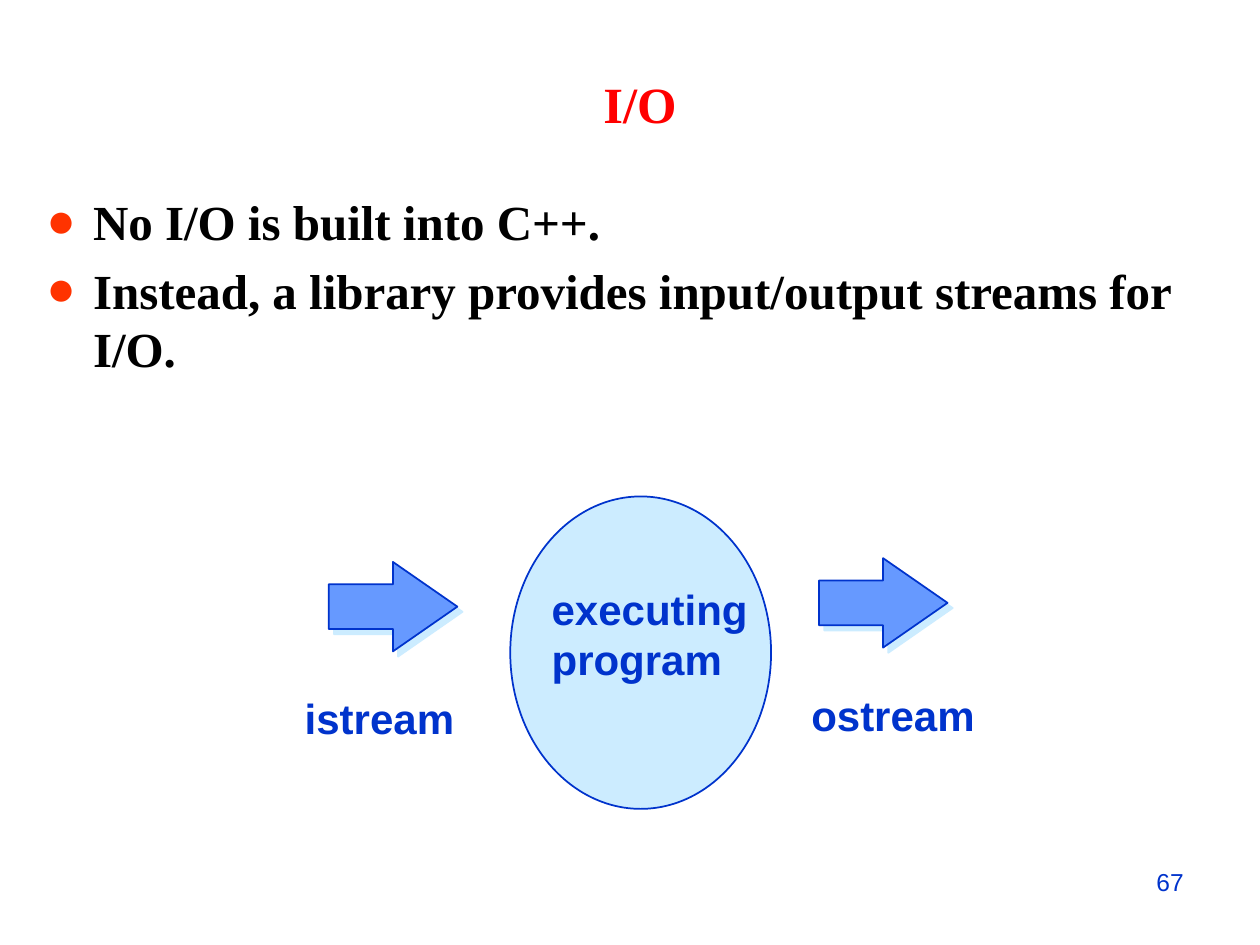
from lxml.etree import SubElement
from pptx import Presentation
from pptx.dml.color import RGBColor
from pptx.enum.shapes import MSO_SHAPE
from pptx.enum.text import MSO_ANCHOR, PP_ALIGN
from pptx.oxml.ns import qn
from pptx.util import Inches, Pt

RED = RGBColor(0xFF, 0x00, 0x00)
BLACK = RGBColor(0x00, 0x00, 0x00)
BLUE = RGBColor(0x00, 0x33, 0xCC)
ARROW_BLUE = RGBColor(0x66, 0x99, 0xFF)
PALE_BLUE = RGBColor(0xCC, 0xEC, 0xFF)
BULLET_COLOR = "FF3300"


def write(frame, text, font, size, color, bold=True):
    """Fill a text frame, one paragraph a line, and format its runs."""
    frame.text = text
    for para in frame.paragraphs:
        for span in para.runs:
            span.font.name = font
            span.font.size = Pt(size)
            span.font.bold = bold
            span.font.color.rgb = color


def add_outlined_shape(kind, left, top, width, height, fill):
    shape = slide.shapes.add_shape(
        kind, Inches(left), Inches(top), Inches(width), Inches(height))
    shape.shadow.inherit = False
    shape.fill.solid()
    shape.fill.fore_color.rgb = fill
    shape.line.color.rgb = BLUE
    shape.line.width = Pt(1)
    return shape


deck = Presentation()
deck.slide_width, deck.slide_height = Inches(10), Inches(7.5)
slide = deck.slides.add_slide(deck.slide_layouts[5])

title = slide.shapes.title
title.left, title.top = Inches(0.83), Inches(0.52)
title.width, title.height = Inches(8.5), Inches(0.59)
write(title.text_frame, "I/O", "Times New Roman", 29, RED)
title.text_frame.vertical_anchor = MSO_ANCHOR.BOTTOM
title.text_frame.paragraphs[0].alignment = PP_ALIGN.CENTER

# Bulleted statements
body = slide.shapes.add_textbox(Inches(0.27), Inches(1.47), Inches(9.44), Inches(1.61))
body.text_frame.word_wrap = True
write(body.text_frame,
      "No I/O is built into C++.\n"
      "Instead, a library provides input/output streams for I/O.",
      "Times New Roman", 28, BLACK)
for index, para in enumerate(body.text_frame.paragraphs):
    properties = para._p.get_or_add_pPr()
    properties.set("marL", str(Inches(0.37)))
    properties.set("indent", str(-Inches(0.37)))
    bullet_color = SubElement(properties, qn("a:buClr"))
    SubElement(bullet_color, qn("a:srgbClr"), val=BULLET_COLOR)
    SubElement(properties, qn("a:buFont"), typeface="Times New Roman")
    SubElement(properties, qn("a:buChar"), char="●")
    if index:
        para.space_before = Pt(5.6)

# Stream diagram
add_outlined_shape(MSO_SHAPE.OVAL, 4.05, 3.94, 2.07, 2.48, PALE_BLUE)
for left, top in [(2.61, 4.46), (6.5, 4.43)]:
    arrow = add_outlined_shape(MSO_SHAPE.RIGHT_ARROW, left, top, 1.02, 0.71, ARROW_BLUE)
    arrow.adjustments[0] = 0.5
    arrow.adjustments[1] = 0.72
    effects = arrow._element.spPr.find(qn("a:effectLst"))
    shadow = SubElement(effects, qn("a:outerShdw"), blurRad="0", dist=str(Pt(4.2)),
                        dir=str(45 * 60000), algn="ctr", rotWithShape="0")
    SubElement(shadow, qn("a:srgbClr"), val=str(PALE_BLUE))

labels = [
    ("executing\nprogram", 4.28, 4.58, 1.8, 0.92),
    ("istream", 2.32, 5.45, 1.41, 0.51),
    ("ostream", 6.34, 5.42, 1.51, 0.51),
]
for text, left, top, width, height in labels:
    label = slide.shapes.add_textbox(
        Inches(left), Inches(top), Inches(width), Inches(height))
    label.text_frame.word_wrap = False
    write(label.text_frame, text, "Arial", 24, BLUE)

page_number = slide.shapes.add_textbox(
    Inches(9.08), Inches(6.83), Inches(0.54), Inches(0.34))
page_number.text_frame.word_wrap = True
write(page_number.text_frame, "67", "Arial", 14, BLUE, bold=False)

deck.save("out.pptx")
